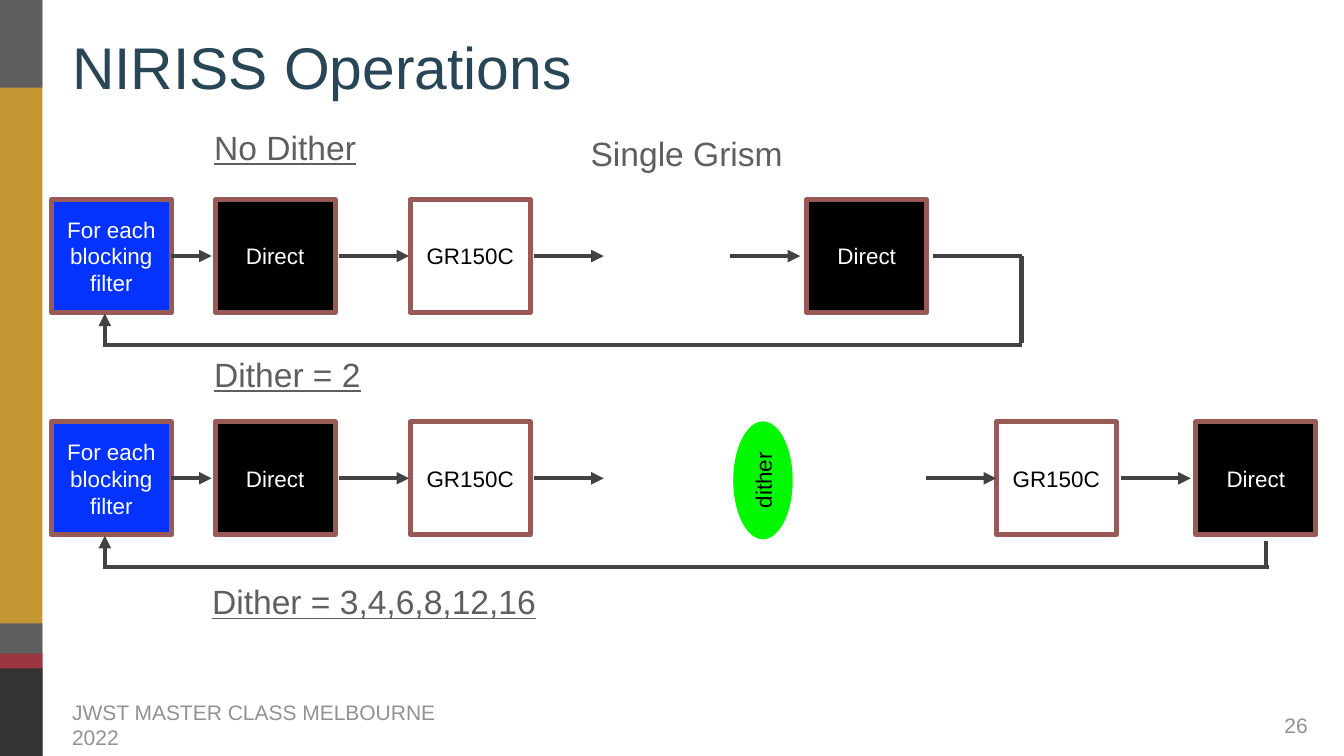
"""Build the NIRISS operations slide with its two single-grism flows."""
from pptx import Presentation
from pptx.dml.color import RGBColor
from pptx.enum.shapes import MSO_CONNECTOR, MSO_SHAPE
from pptx.enum.text import MSO_ANCHOR, MSO_AUTO_SIZE, PP_ALIGN
from pptx.oxml.ns import qn
from pptx.util import Inches, Pt
from lxml.etree import SubElement


def color(code):
    return RGBColor.from_string(code)


def write(shape, text, size=32, ink="000000", align=PP_ALIGN.CENTER, pad=0, under=None, wrap=True):
    frame = shape.text_frame
    frame.text = text
    frame.word_wrap = wrap
    frame.auto_size = MSO_AUTO_SIZE.NONE
    frame.vertical_anchor = MSO_ANCHOR.MIDDLE
    frame.margin_left = frame.margin_right = Inches(pad)
    frame.margin_top = frame.margin_bottom = Inches(pad)
    par = frame.paragraphs[0]
    par.alignment = align
    par.font.name = "Arial"
    par.font.size = Pt(size)
    par.font.color.rgb = color(ink)
    par.font.underline = under


deck = Presentation()
deck.slide_width, deck.slide_height = Inches(26.67), Inches(15)
slide = deck.slides.add_slide(deck.slide_layouts[5])
shapes = slide.shapes

for top, high, fill in [
    (0, 15, "C49732"), (12.37, 2.63, "5F5F5F"), (12.97, 2.03, "9C3742"),
    (13.26, 1.74, "333333"), (0, 1.74, "5F5F5F"),
]:
    band = shapes.add_shape(MSO_SHAPE.RECTANGLE, Inches(-0.01), Inches(top), Inches(0.85), Inches(high))
    band.shadow.inherit = False
    band.fill.solid()
    band.fill.fore_color.rgb = color(fill)
    band.line.fill.background()

title = shapes.title
title.left, title.top = Inches(1.37), Inches(0.44)
title.width, title.height = Inches(21.12), Inches(1.74)
write(title, "NIRISS Operations", size=84, ink="284655", align=PP_ALIGN.LEFT, pad=0.06)

left, mid = PP_ALIGN.LEFT, PP_ALIGN.CENTER
for text, x, y, wide, high, size, ink, align, under, wrap in [
    ("No Dither", 4.19, 2.4, 3.22, 1.03, 48, "5F5F5F", left, True, False),
    ("Dither = 2", 4.19, 6.91, 3.32, 1.03, 48, "5F5F5F", left, True, False),
    ("Dither = 3,4,6,8,12,16", 4.15, 11.42, 7.07, 1.03, 48, "5F5F5F", left, True, False),
    ("Single Grism", 11.66, 2.53, 4.06, 1.03, 48, "5F5F5F", left, None, False),
    ("JWST MASTER CLASS MELBOURNE 2022", 1.37, 14.07, 8.36, 0.62, 30, "929292", left, None, True),
    ("26", 25.41, 14.04, 0.62, 0.68, 30, "929292", mid, None, False),
]:
    label = shapes.add_textbox(Inches(x), Inches(y), Inches(wide), Inches(high))
    write(label, text, size=size, ink=ink, align=align, pad=0.06, under=under, wrap=wrap)

wide, high = 2.38, 2.24
rows = [3.96, 8.37]
kinds = {
    "For each blocking filter": ("0433FF", "FFFFFF"),
    "Direct": ("000000", "FFFFFF"),
    "GR150C": ("FFFFFF", "000000"),
}
start = [("For each blocking filter", 1.02), ("Direct", 4.27), ("GR150C", 8.14)]
ends = [[("Direct", 16.01)], [("GR150C", 19.77), ("Direct", 23.73)]]
for top, end in zip(rows, ends):
    for text, x in start + end:
        fill, ink = kinds[text]
        box = shapes.add_shape(MSO_SHAPE.RECTANGLE, Inches(x), Inches(top), Inches(wide), Inches(high))
        box.shadow.inherit = False
        box.fill.solid()
        box.fill.fore_color.rgb = color(fill)
        box.line.color.rgb = color("985A56")
        box.line.width = Pt(7)
        write(box, text, ink=ink)

oval = shapes.add_shape(MSO_SHAPE.OVAL, Inches(13.97), Inches(8.94), Inches(2.34), Inches(1.18))
oval.rotation = 270
oval.shadow.inherit = False
oval.fill.solid()
oval.fill.fore_color.rgb = color("00F900")
oval.line.fill.background()
write(oval, "dither")

lines = []
for top, steps in zip(rows, [[6.73, 10.59, 14.49], [6.73, 10.59, 18.38, 22.24]]):
    axis, back = top + high / 2, top + 2.88
    lines += [(x, axis, x + 1.39, axis, True) for x in steps]
    lines += [(3.39, axis, 4.2, axis, True), (2.08, back, 2.08, top + 2.26, True)]
lines += [
    (18.52, 5.08, 20.28, 5.08, False), (20.27, 5.08, 20.27, 6.81, False),
    (2.04, 6.84, 20.28, 6.84, False),
    (25.13, 10.74, 25.13, 11.23, False), (2.05, 11.25, 25.18, 11.25, False),
]
for x, y, right, low, head in lines:
    link = shapes.add_connector(MSO_CONNECTOR.STRAIGHT, Inches(x), Inches(y), Inches(right), Inches(low))
    link.line.color.rgb = color("424242")
    link.line.width = Pt(6)
    if head:
        SubElement(link.line._get_or_add_ln(), qn("a:tailEnd"), type="triangle")
    SubElement(link._element.spPr, qn("a:effectLst"))

deck.save("out.pptx")
